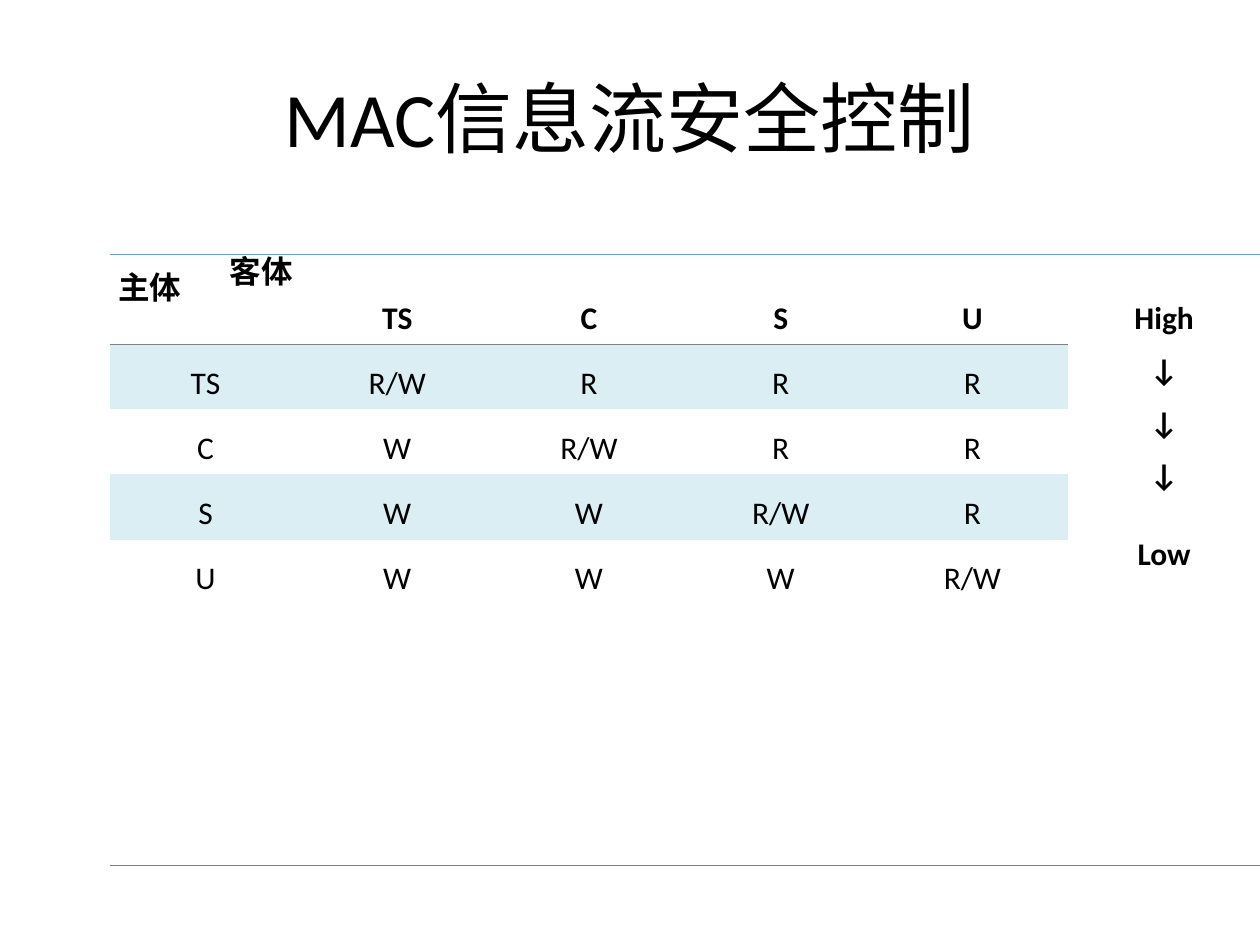
"""Build the slide on MAC information flow control with its access matrix."""
from lxml import etree
from pptx import Presentation
from pptx import util as u
from pptx.dml.color import RGBColor
from pptx.enum import text
from pptx.oxml import ns

COLORS = {"ink": "000000", "top": "4BACC6", "rule": "808080", "band": "DBEEF4"}
ALIGN = text.PP_ALIGN
LEVELS = ["TS", "C", "S", "U"]
RIGHTS = ["R/W R R R", "W R/W R R", "W W R/W R", "W W W R/W"]
ROW_HEIGHTS = [0.61, 0.42, 0.42, 0.42, 2.49]
COLUMNS = 6
INSET = 0.05


def write(frame, content, size=18, bold=False, align=ALIGN.CENTER, leading=None, before=0, first=False):
    line = frame.paragraphs[0] if first else frame.add_paragraph()
    line.text = content
    line.alignment = align
    if leading:
        line.line_spacing = u.Pt(leading)
    if before:
        line.space_before = u.Pt(before)
    line.font.size = u.Pt(size)
    line.font.bold = bold
    line.font.name = "Calibri"
    line.font.color.rgb = RGBColor.from_string(COLORS["ink"])


def rule(cell, side, color):
    edge = etree.SubElement(cell._tc.get_or_add_tcPr(), ns.qn(f"a:ln{side}"), w=str(u.Pt(0.45)))
    fill = etree.SubElement(edge, ns.qn("a:solidFill"))
    etree.SubElement(fill, ns.qn("a:srgbClr"), val=COLORS[color])


deck = Presentation()
deck.slide_width, deck.slide_height = u.Inches(10), u.Inches(7.5)
slide = deck.slides.add_slide(deck.slide_layouts[5])

title = slide.shapes.title
title.left, title.top = int(deck.slide_width * 0.05), int(deck.slide_height * 0.04)
title.width, title.height = int(deck.slide_width * 0.9), u.Inches(1.25)
title.text_frame.vertical_anchor = text.MSO_ANCHOR.MIDDLE
write(title.text_frame, "MAC信息流安全控制", size=44, first=True)

matrix = slide.shapes.add_table(
    len(ROW_HEIGHTS), COLUMNS, u.Inches(0.87), u.Inches(2.02), u.Inches(9.13), u.Inches(sum(ROW_HEIGHTS))
).table
matrix.first_row = matrix.horz_banding = False
matrix._tbl.tblPr.find(ns.qn("a:tableStyleId")).text = "{2D5ABB26-0587-4C30-8999-92F81FD0307C}"
for row, height in zip(matrix.rows, ROW_HEIGHTS):
    row.height = u.Inches(height)

scale = matrix.cell(0, COLUMNS - 1)
scale.merge(matrix.cell(len(ROW_HEIGHTS) - 1, COLUMNS - 1))

entries = [["客体", *LEVELS, "High"]]
entries += [[level, *rights.split()] for level, rights in zip(LEVELS, RIGHTS)]
last = len(entries) - 1
for r, entry in enumerate(entries):
    for c, content in enumerate(entry):
        cell = matrix.cell(r, c)
        corner = r == c == 0
        leading = 9 if corner else 15 if r else 22
        cell.margin_left = cell.margin_right = u.Inches(0.07)
        cell.margin_top = u.Inches(INSET) + u.Pt(leading)
        cell.margin_bottom = u.Inches(INSET)
        write(cell.text_frame, content, bold=r == 0, leading=leading,
              align=ALIGN.RIGHT if corner else ALIGN.CENTER, first=True)
        if r == 0:
            rule(cell, "T", "top")
        if r == last or r == 0:
            rule(cell, "B", "rule")
        if r % 2:
            cell.fill.solid()
            cell.fill.fore_color.rgb = RGBColor.from_string(COLORS["band"])
        else:
            cell.fill.background()

rule_end = matrix.cell(last, COLUMNS - 1)
rule(rule_end, "B", "rule")
write(matrix.cell(0, 0).text_frame, "主体", bold=True, align=ALIGN.JUSTIFY, leading=9)
for step, gap in [("↓", 15), ("↓", 15), ("↓", 15), ("Low", 30)]:
    write(scale.text_frame, step, bold=True, leading=15, before=gap)

deck.save("out.pptx")
